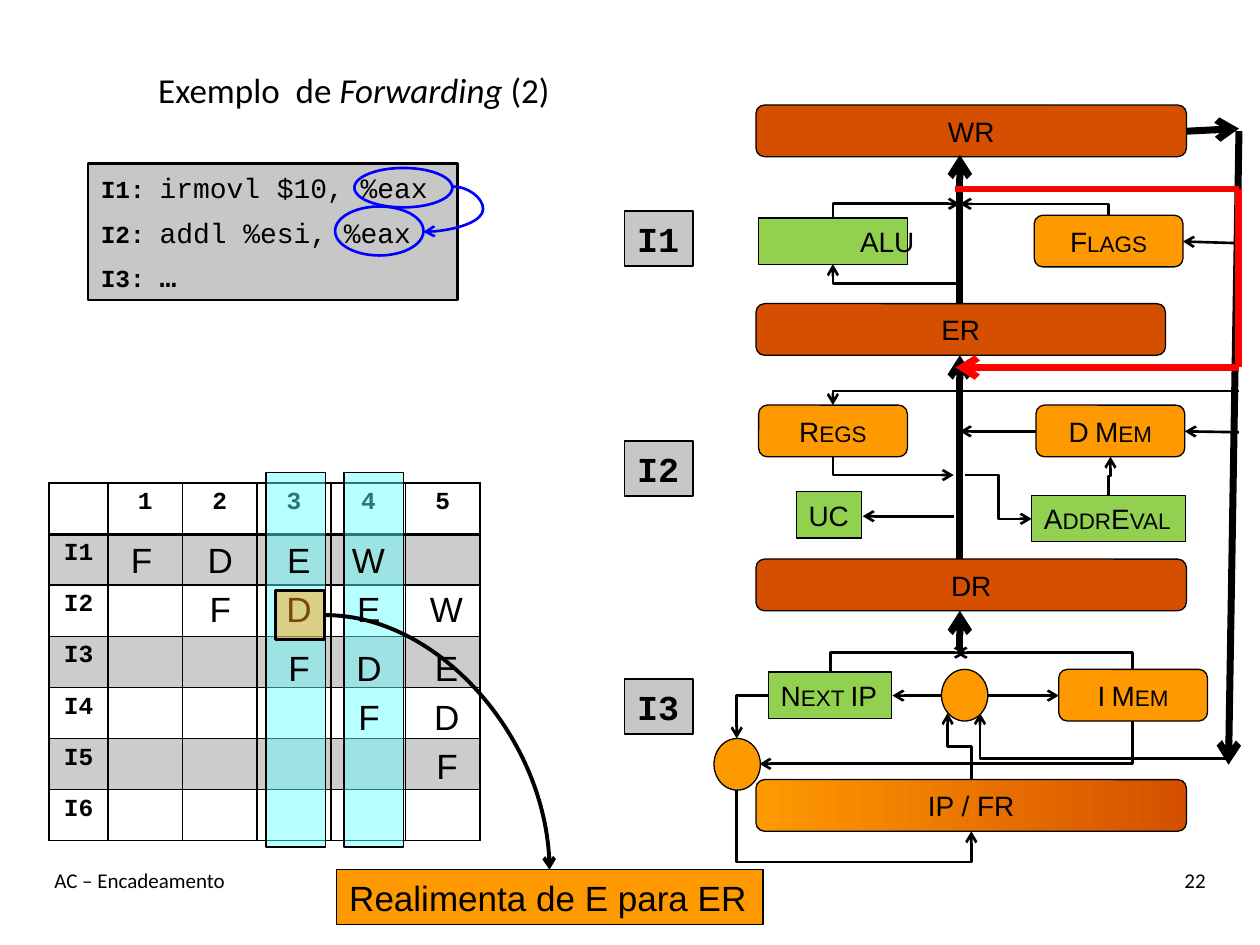
"""Build a slide that shows data forwarding in a pipelined processor."""
import dataclasses

import lxml.etree
import pptx
import pptx.dml.color
import pptx.enum.shapes
import pptx.enum.text
import pptx.oxml.ns
import pptx.util

Pt = pptx.util.Pt
qn = pptx.oxml.ns.qn
SHAPES = pptx.enum.shapes.MSO_SHAPE
ALIGN = pptx.enum.text.PP_ALIGN
ANCHOR = pptx.enum.text.MSO_ANCHOR


@dataclasses.dataclass(frozen=True)
class Theme:
    black: str = "000000"
    gray: str = "C7C7C7"
    cyan: str = "66FFFF"
    blue: str = "0000FF"
    red: str = "FF0000"
    orange: str = "FF9900"
    rust: str = "D45000"
    green: str = "92D050"
    body: str = "Arial"
    heading: str = "Calibri"
    code: str = "Courier New"
    large: int = 20
    medium: int = 16
    small: int = 14
    tiny: int = 12


THEME = Theme()


def rgb(color):
    return pptx.dml.color.RGBColor.from_string(color)


def child(parent, tag, **attributes):
    return lxml.etree.SubElement(parent, qn(tag), attributes)


def paint(fill, color, opacity=100):
    fill.solid()
    fill.fore_color.rgb = rgb(color)
    if opacity < 100:
        tint = next(fill._xPr.iter(qn("a:srgbClr")))
        child(tint, "a:alpha", val=str(opacity * 1000))


def write(para, text, font=THEME.body, size=THEME.large, bold=False, italic=False,
          caps=False, align=ALIGN.LEFT):
    para.alignment = align
    span = para.add_run()
    span.text = text
    span.font.name, span.font.size = font, Pt(size)
    span.font.bold, span.font.italic = bold, italic
    span.font.color.rgb = rgb(THEME.black)
    if caps:
        span._r.get_or_add_rPr().set("cap", "small")


class Canvas:
    def __init__(self, page, theme):
        self.page, self.theme = page, theme

    def text(self, x, y, width, height, anchor=ANCHOR.TOP, wrap=True):
        box = self.page.shapes.add_textbox(Pt(x), Pt(y), Pt(width), Pt(height))
        box.text_frame.word_wrap = wrap
        box.text_frame.vertical_anchor = anchor
        return box.text_frame.paragraphs[0]

    def block(self, x, y, width, height, fill=None, text="", kind=SHAPES.RECTANGLE,
              opacity=100, line=None, weight=0.75, wrap=False, **style):
        box = self.page.shapes.add_shape(kind, Pt(x), Pt(y), Pt(width), Pt(height))
        box.shadow.inherit = False
        if fill:
            paint(box.fill, fill, opacity)
        else:
            box.fill.background()
        box.line.color.rgb = rgb(line or self.theme.black)
        box.line.width = Pt(weight)
        box.text_frame.word_wrap = wrap
        if text:
            write(box.text_frame.paragraphs[0], text, **style)
        return box

    def unit(self, x, y, width, height, fill, text, kind=SHAPES.ROUNDED_RECTANGLE, caps=True):
        return self.block(x, y, width, height, fill, text, kind, wrap=True,
                          size=self.theme.medium, caps=caps, align=ALIGN.CENTER)

    def route(self, start, end, kind="line", vertical=False, bend=None,
              color=None, weight=1.5, arrow=True):
        points = [Pt(value) for value in (*start, *end)]
        link = self.page.shapes.add_connector(pptx.enum.shapes.MSO_CONNECTOR.STRAIGHT, *points)
        link.line.color.rgb = rgb(color or self.theme.black)
        link.line.width = Pt(weight)
        properties = link._element.spPr
        child(properties, "a:effectLst")
        if arrow:
            child(link.line._get_or_add_ln(), "a:tailEnd", type="arrow")
        geometry = properties.find(qn("a:prstGeom"))
        geometry.set("prst", kind)
        if bend is not None:
            guides = geometry.find(qn("a:avLst"))
            child(guides, "a:gd", name="adj1", fmla=f"val {round(bend * 100000)}")
        if vertical:
            self.turn(link, end[0] - start[0], end[1] - start[1])

    def turn(self, link, run, rise):
        quarter = run * rise <= 0
        frame = link._element.spPr.find(qn("a:xfrm"))
        frame.set("rot", str(5400000 if quarter else 16200000))
        frame.set("flipH", str(int((rise < 0) == quarter)))
        frame.set("flipV", str(int((run > 0) == quarter)))
        middle_x, middle_y = link.left + link.width // 2, link.top + link.height // 2
        link.width, link.height = link.height, link.width
        link.left, link.top = middle_x - link.width // 2, middle_y - link.height // 2

    def table(self, x, y, widths, row_height, rows):
        holder = self.page.shapes.add_table(len(rows), len(widths), Pt(x), Pt(y),
                                            Pt(sum(widths)), Pt(row_height * len(rows)))
        grid = holder.table
        grid.first_row = grid.horz_banding = False
        for column, width in zip(grid.columns, widths):
            column.width = Pt(width)
        for index, row in enumerate(rows):
            grid.rows[index].height = Pt(row_height)
            for cell, text in zip(grid.rows[index].cells, row):
                if text:
                    write(cell.text_frame.paragraphs[0], text, font=self.theme.code,
                          size=self.theme.small, bold=True, align=ALIGN.CENTER)
                if index % 2:
                    paint(cell.fill, self.theme.black, 20)
                else:
                    cell.fill.background()
                self.borders(cell, top=2 if index == 1 else 1, bottom=2 if index == 0 else 1)

    def borders(self, cell, top, bottom):
        properties = cell._tc.get_or_add_tcPr()
        for position, (side, weight) in enumerate(zip("LRTB", (1, 1, top, bottom))):
            edge = child(properties, f"a:ln{side}", w=str(Pt(weight)))
            child(child(edge, "a:solidFill"), "a:srgbClr", val=self.theme.black)
            properties.insert(position, edge)


def draw_schedule(canvas):
    rows = [["", *"12345"]] + [[f"I{number}"] + [""] * 5 for number in range(1, 7)]
    canvas.table(28, 276, [33.8] + [42.5] * 5, 29.2, rows)
    for x in (196.5, 152):
        canvas.block(x, 270, 34, 214, THEME.cyan, opacity=46)
    centers, tops = (81, 126, 171, 211, 255.5), (304, 332, 366, 394, 422)
    widths = {"F": 26.5, "D": 29, "E": 28, "W": 34}
    for row, top in enumerate(tops):
        for center, stage in zip(centers[row:], "FDEW"):
            width = widths[stage]
            write(canvas.text(center - width / 2, top, width, 31.5, wrap=False), stage)
    canvas.block(157.5, 337.5, 28, 28, THEME.orange, opacity=47, weight=1.5)
    canvas.block(192.5, 497, 243.5, 31.5, THEME.orange, "Realimenta de E para ER")
    canvas.route((186, 351.5), (314, 497), "curvedConnector2", weight=2.25)


def draw_code(canvas):
    box = canvas.block(50.5, 93.5, 211, 78, THEME.gray, weight=1.25)
    frame = box.text_frame
    lines = (("I1: ", "irmovl $10, %eax", False), ("I2: ", "addl %esi, %eax", False), ("I3: ", "…", True))
    for index, (label, code, bold) in enumerate(lines):
        para = frame.add_paragraph() if index else frame.paragraphs[0]
        para.space_after = Pt(6)
        write(para, label, font=THEME.code, size=THEME.small, bold=True)
        write(para, code, font=THEME.code, size=THEME.medium, bold=bold)
    canvas.block(202.5, 96, 56, 22.5, kind=SHAPES.OVAL, line=THEME.blue, weight=1.5)
    canvas.block(191.5, 118, 50.5, 28, kind=SHAPES.OVAL, line=THEME.blue, weight=1.5)
    canvas.route((258.5, 106.5), (242, 132.5), "curvedConnector3", bend=-1.07, color=THEME.blue)
    for label, y in (("I1", 120.5), ("I2", 252), ("I3", 388)):
        canvas.block(357, y, 39, 31.5, THEME.gray, label, font=THEME.code, bold=True)


def draw_datapath(canvas):
    for text, y, width in (("WR", 60, 246), ("ER", 173.5, 234), ("DR", 319.5, 246), ("IP / FR", 445.5, 246)):
        register = canvas.unit(432, y, width, 29.5, THEME.rust, text, caps=False)
    register.fill.gradient()
    register.fill.gradient_angle = 0
    for stop, color, position in zip(register.fill.gradient_stops, (THEME.orange, THEME.rust), (0, 1)):
        stop.color.rgb, stop.position = rgb(color), position
    for text, x, y in (("Flags", 591, 123), ("Regs", 433.5, 231.5), ("D Mem", 592, 231.5), ("I Mem", 605, 382.5)):
        canvas.unit(x, y, 85, 29.5, THEME.orange, text)
    alu = canvas.unit(433.5, 124.5, 85, 26.5, THEME.green, "ALU", SHAPES.RECTANGLE)
    alu.text_frame.margin_left = Pt(38)
    for text, x, y, width in (("UC", 455, 281, 37.5), ("AddrEval", 589.5, 283, 88), ("Next IP", 439, 384, 70.5)):
        canvas.block(x, y, width, 26.5, THEME.green, text, size=THEME.medium, caps=True)

    for start, end in (((548.5, 371.5), (548.5, 349)), ((548.5, 319.5), (548.5, 203)), ((548.5, 173.5), (548.5, 88.5)),
                       ((678, 75), (708, 73.5)), ((708, 75), (702, 437))):
        canvas.route(start, end, weight=4)
    for start, end in (((564, 397.5), (605, 397.5)), ((538, 397.5), (510, 397.5)), ((545, 295), (493, 295)),
                       ((592, 246.5), (548.5, 246.5)), ((708, 139), (676, 138)), ((708, 247), (677, 246.5))):
        canvas.route(start, end)
    for start, end in (((548.5, 162), (476, 151)), ((708, 223.5), (476, 231.5)),
                       ((702, 433.5), (560, 407.5)), ((439, 397.5), (421, 422))):
        canvas.route(start, end, "bentConnector2")
    for start, end in (((474.5, 383.5), (552, 373)), ((647, 382.5), (546, 373)), ((476, 261), (545, 271.5)),
                       ((476, 124.5), (548.5, 116.5)), ((633.5, 123), (548.5, 116.5)), ((647, 412), (434, 436.5))):
        canvas.route(start, end, "bentConnector2", vertical=True)
    canvas.route((551.5, 271.5), (589.5, 296.5), "bentConnector3", bend=0.5)
    for start, end, bend in (((555, 445.5), (541.5, 407.5), 0.5), ((633.5, 283), (634.5, 261), 0.5),
                             ((421, 451.5), (555, 475), 1.75)):
        canvas.route(start, end, "bentConnector3", vertical=True, bend=bend)
    for x, y in ((538, 382.5), (408, 422)):
        canvas.block(x, y, 26.5, 29.5, THEME.orange, kind=SHAPES.OVAL)

    corners = ((546, 108), (708, 108), (708, 210), (546, 210))
    for index, (start, end) in enumerate(zip(corners, corners[1:])):
        canvas.route(start, end, color=THEME.red, weight=4, arrow=index == 2)


def main():
    deck = pptx.Presentation()
    deck.slide_width, deck.slide_height = Pt(720), Pt(540)
    canvas = Canvas(deck.slides.add_slide(deck.slide_layouts[6]), THEME)
    draw_schedule(canvas)
    title = canvas.text(16.5, 18, 371.5, 66, ANCHOR.MIDDLE)
    for text, italic in (("Exemplo  de ", False), ("Forwarding ", True), ("(2)", False)):
        write(title, text, font=THEME.heading, italic=italic, align=ALIGN.CENTER)
    write(canvas.text(24, 492, 504, 36), "AC – Encadeamento", font=THEME.heading, size=THEME.tiny)
    write(canvas.text(600, 492, 96, 36), "22", font=THEME.heading, size=THEME.tiny, align=ALIGN.RIGHT)
    draw_code(canvas)
    draw_datapath(canvas)
    deck.save("out.pptx")


if __name__ == "__main__":
    main()
